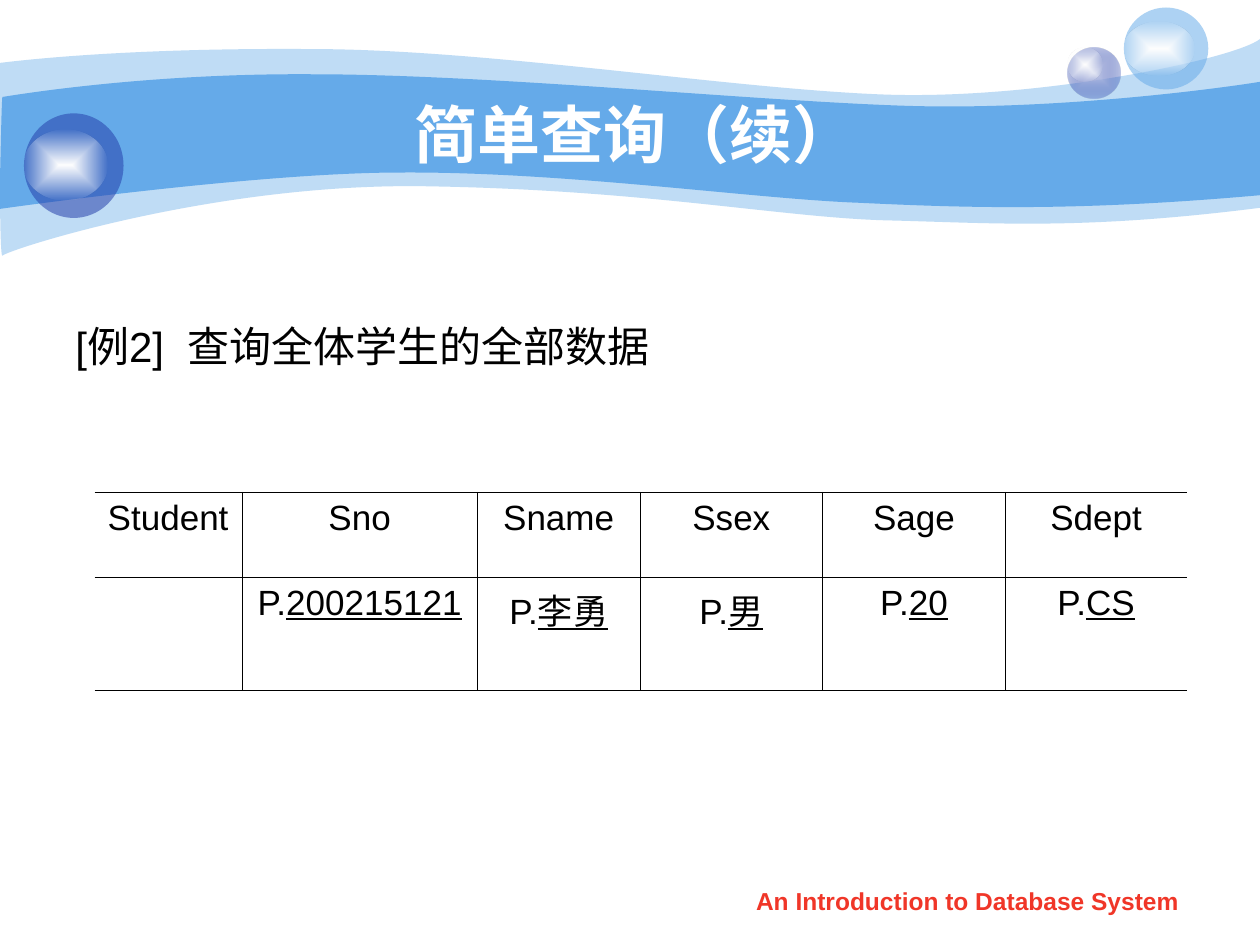
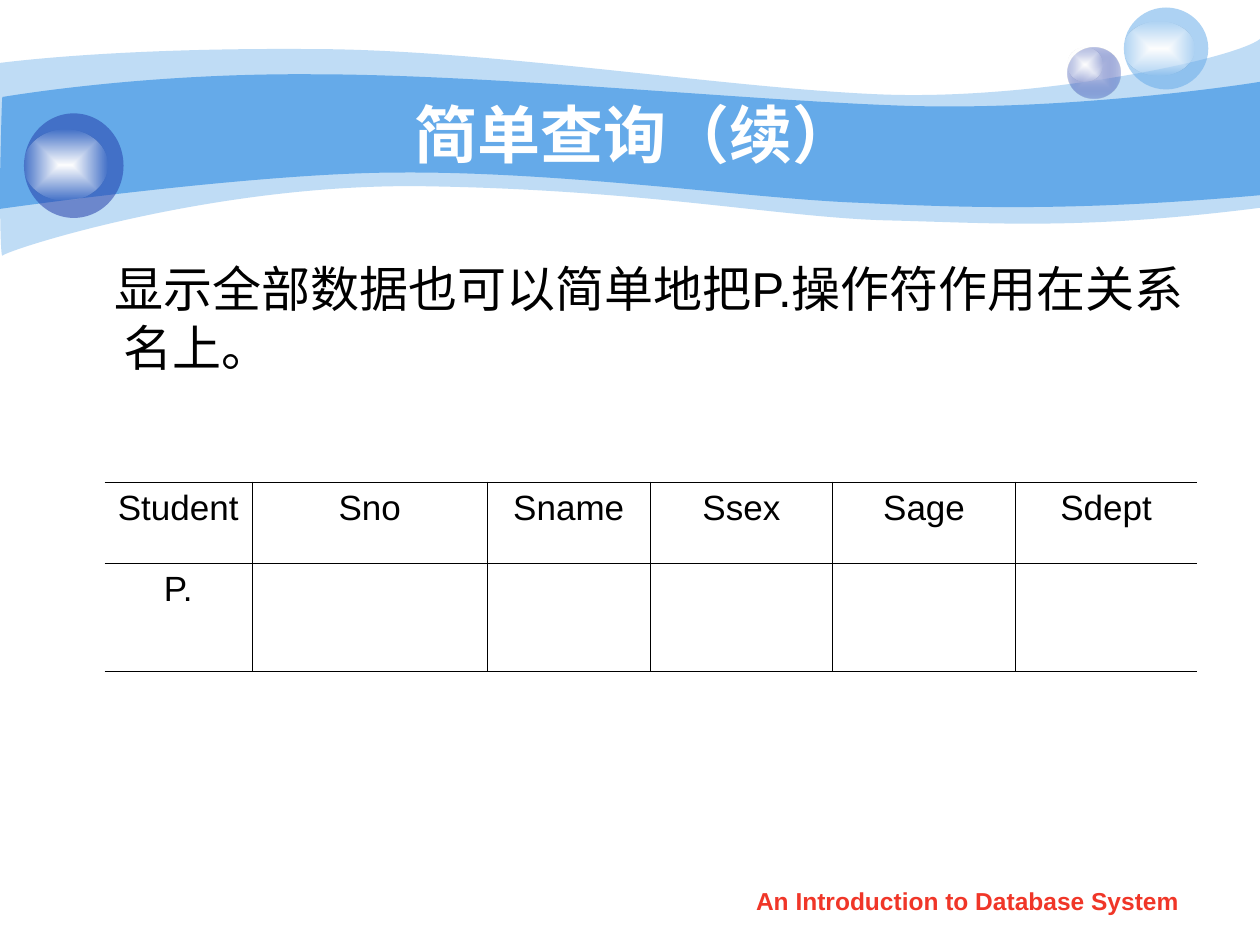
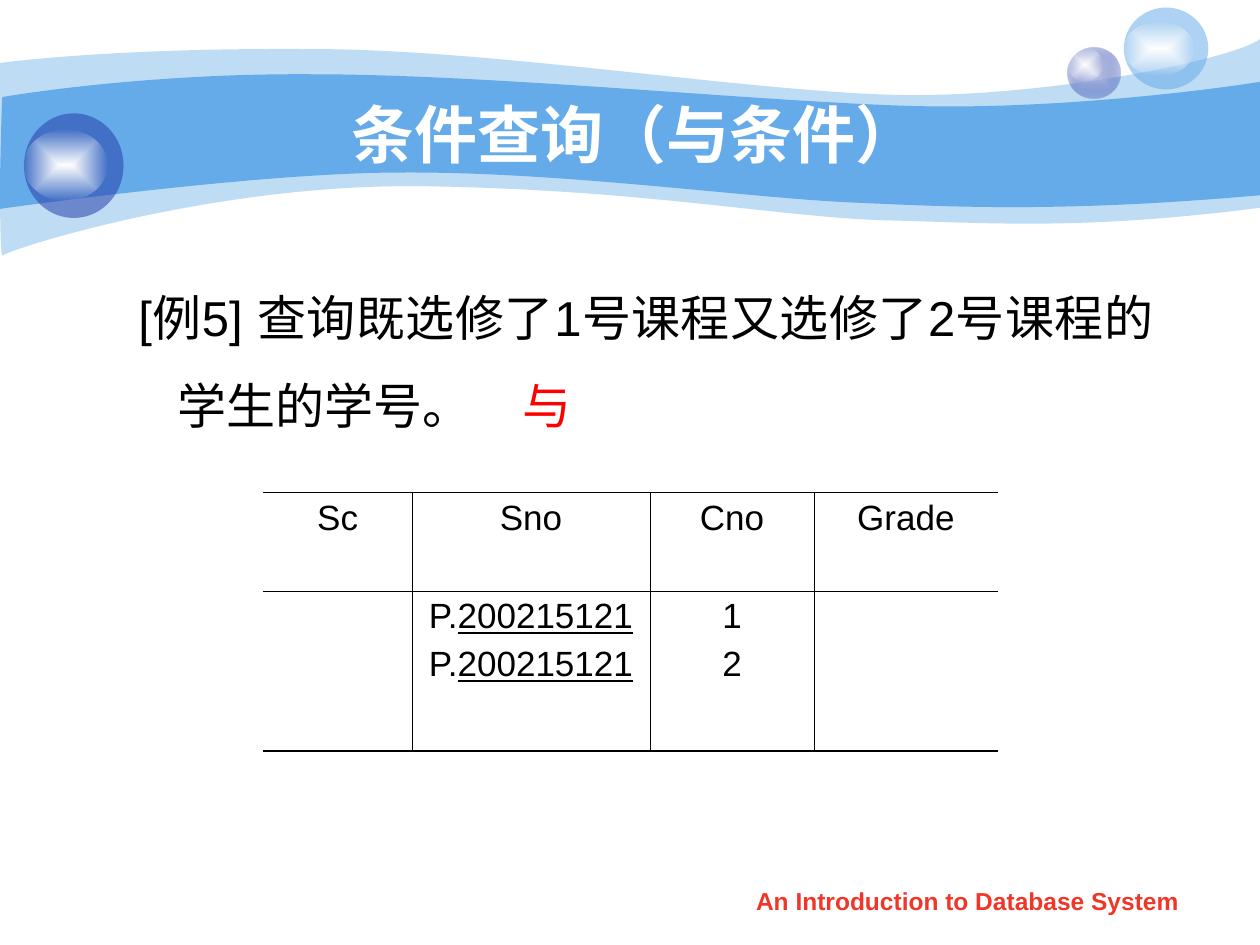
from lxml.etree import SubElement
from pptx import Presentation
from pptx.dml.color import RGBColor
from pptx.enum.shapes import MSO_SHAPE
from pptx.enum.text import MSO_ANCHOR as ANCHOR, PP_ALIGN as ALIGN
from pptx.oxml import parse_xml
from pptx.oxml.ns import nsdecls, qn
from pptx.util import Inches, Pt

BLACK = RGBColor(0x00, 0x00, 0x00)
WHITE = RGBColor(0xFF, 0xFF, 0xFF)
RED = RGBColor(0xFF, 0x00, 0x00)
FOOTER_RED = RGBColor(0xF0, 0x36, 0x28)
SKY = RGBColor(0x65, 0xAA, 0xE9)
NAVY = RGBColor(0x23, 0x3D, 0xA9)
LILAC = RGBColor(0xC7, 0xCE, 0xE9)

FONT = "Arial"
THIN, THICK = Pt(0.45), Pt(1.08)

# Each wave is a start point, then curves (six numbers) and lines (two numbers).
PALE_WAVE = [
    (0, 0.5), (0.24, 0.47, 1.08, 0.38, 2.47, 0.39),
    (3.86, 0.39, 5.75, 0.7, 6.99, 0.75), (8.22, 0.8, 9.8, 0.47, 10, 0.31),
    (10, 1.65), (8.58, 1.83, 7.88, 1.77, 7.05, 1.75),
    (6.22, 1.73, 5.15, 1.51, 3.43, 1.48), (1.72, 1.44, 0.04, 1.99, 0.02, 2.03),
    (-0.01, 2.08, 0, 0.75, 0, 0.5),
]
DEEP_WAVE = [
    (0.02, 0.77), (0.03, 0.77, 1.1, 0.58, 2.48, 0.59),
    (3.87, 0.59, 5.96, 0.8, 7.18, 0.84), (8.41, 0.88, 9.76, 0.69, 10, 0.65),
    (10, 1.55), (8.53, 1.68, 7.66, 1.65, 6.82, 1.61),
    (5.99, 1.58, 4.47, 1.36, 3.17, 1.37), (2.03, 1.37, -0.02, 1.66, -0.01, 1.66),
    (0, 1.66, 0.01, 0.77, 0.02, 0.77),
]


class Deck:
    """Holds the shared style and the slide being drawn."""

    def __init__(self):
        self.prs = Presentation()
        self.prs.slide_width, self.prs.slide_height = Inches(10), Inches(7.5)
        self.slide = None

    def new_slide(self, title):
        self.slide = self.prs.slides.add_slide(self.prs.slide_layouts[6])
        self.wave(PALE_WAVE, 41)
        self.wave(DEEP_WAVE)
        self.bubble((8.47, 0.38, 0.42, 0.4), (8.47, 0.38, 0.28, 0.27), LILAC, NAVY, 31)
        self.bubble((8.92, 0.06, 0.67, 0.65), (8.92, 0.17, 0.56, 0.43), SKY, alpha=53)
        self.bubble((0.19, 0.9, 0.79, 0.83), (0.19, 1.03, 0.66, 0.56), NAVY, alpha=53)
        self.text((5.71, 6.98, 3.94, 0.35), [("An Introduction to Database System", {})],
                  {"size": Pt(14), "bold": True}, FOOTER_RED, alignment=ALIGN.CENTER)
        tf = self.text((1, 0.75, 8.08, 0.62), [(title, {})],
                       {"size": Pt(36), "bold": True}, WHITE, alignment=ALIGN.CENTER)
        tf.vertical_anchor = ANCHOR.MIDDLE

    def solid(self, sp, color, alpha=100):
        sp.shadow.inherit = False
        sp.line.fill.background()
        sp.fill.solid()
        sp.fill.fore_color.rgb = color
        if alpha < 100:
            clr = sp.fill._xPr.find(qn("a:solidFill"))[0]
            SubElement(clr, qn("a:alpha"), val=str(alpha * 1000))

    def glow(self, sp, inner, outer, alpha):
        """Fill from the inner colour at the centre to a translucent outer one."""
        self.solid(sp, inner)
        spPr = sp.fill._xPr
        spPr.replace(spPr.find(qn("a:solidFill")), parse_xml(
            f'<a:gradFill {nsdecls("a")} rotWithShape="1"><a:gsLst>'
            f'<a:gs pos="0"><a:srgbClr val="{inner}"/></a:gs>'
            f'<a:gs pos="100000"><a:srgbClr val="{outer}">'
            f'<a:alpha val="{alpha * 1000}"/></a:srgbClr></a:gs></a:gsLst>'
            '<a:path path="rect"><a:fillToRect l="50000" t="50000" r="50000" b="50000"/>'
            '</a:path></a:gradFill>'))

    def wave(self, wave, alpha=100):
        """Lay out all points as lines, then join each curve's three into a Bezier."""
        start, *segs = wave
        points = [(Inches(x), Inches(y)) for seg in segs
                  for x, y in zip(seg[::2], seg[1::2])]
        builder = self.slide.shapes.build_freeform(*map(Inches, start))
        builder.add_line_segments(points, close=True)
        sp = builder.convert_to_shape()
        lines = iter(list(sp._element.iter(qn("a:lnTo"))))
        for seg in segs:
            first, *others = [next(lines) for _ in seg[::2]]
            if others:
                curve = SubElement(first.getparent(), qn("a:cubicBezTo"))
                first.addprevious(curve)
                for line in (first, *others):
                    curve.append(line[0])
                    line.getparent().remove(line)
        self.solid(sp, SKY, alpha)

    def bubble(self, ball, glare, color, rim=None, alpha=100):
        shapes = self.slide.shapes.add_group_shape().shapes
        sp, shine = (shapes.add_shape(MSO_SHAPE.OVAL, *map(Inches, box))
                     for box in (ball, glare))
        if rim is None:
            self.solid(sp, color, alpha)
        else:
            self.glow(sp, color, rim, alpha)
        self.glow(shine, WHITE, WHITE, 0)

    def runs(self, p, runs, font, color):
        for text, extra in runs:
            r = p.add_run()
            r.text = text
            r.font.color.rgb = color
            for name, value in {"name": FONT, **font, **extra}.items():
                if name == "color":
                    r.font.color.rgb = value
                elif name == "spacing":
                    r._r.get_or_add_rPr().set("spc", str(value))
                else:
                    setattr(r.font, name, value)

    def text(self, box, runs, font, color=BLACK, margin=0, indent=0, **fmt):
        tf = self.slide.shapes.add_textbox(*map(Inches, box)).text_frame
        tf.word_wrap = True
        p = tf.paragraphs[0]
        if margin:
            pPr = p._p.get_or_add_pPr()
            pPr.set("marL", str(Inches(margin)))
            pPr.set("indent", str(Inches(indent)))
        for name, value in fmt.items():
            setattr(p, name, value)
        self.runs(p, runs, font, color)
        return tf

    def border(self, cell, **widths):
        """Draw the four sides in black; a width of 0 leaves the side open."""
        tcPr = cell._tc.get_or_add_tcPr()
        for side in "LRTB":
            width = widths[side]
            ln = SubElement(tcPr, qn(f"a:ln{side}"), w=str(int(width)))
            if width:
                SubElement(SubElement(ln, qn("a:solidFill")), qn("a:srgbClr"), val=str(BLACK))
            else:
                SubElement(ln, qn("a:noFill"))

    def table(self, left, top, widths, heights, rows):
        """Cells hold lines; in "P.x" the example value x is underlined."""
        box = (left, top, sum(widths), sum(heights))
        table = self.slide.shapes.add_table(len(rows), len(widths), *map(Inches, box)).table
        table.first_row = table.horz_banding = False
        for col, width in zip(table.columns, widths):
            col.width = Inches(width)
        last_row, last_col = len(rows) - 1, len(widths) - 1
        for i, (height, row) in enumerate(zip(heights, rows)):
            table.rows[i].height = Inches(height)
            for j, content in enumerate(row):
                cell = table.cell(i, j)
                self.border(cell, L=THIN if j else 0, R=THIN if j < last_col else 0,
                            T=THIN if i else THICK, B=THIN if i < last_row else THICK)
                cell.fill.background()
                if content:
                    self.cell_text(cell.text_frame, content.split("\n"))

    def cell_text(self, tf, lines):
        for n, line in enumerate(lines):
            p = tf.add_paragraph() if n else tf.paragraphs[0]
            p.alignment = ALIGN.CENTER
            if n:
                p.space_before = Pt(5)
            head, dot, value = line.partition(".")
            runs = [(head + dot, {})]
            if value:
                runs.append((value, {"underline": True}))
            self.runs(p, runs, {"size": Pt(20)}, BLACK)


def main():
    deck = Deck()
    student = ["Student", "Sno", "Sname", "Ssex", "Sage", "Sdept"]
    student_widths = [1.17, 1.87, 1.29, 1.45, 1.45, 1.44]

    deck.new_slide("简单查询（续）")
    tf = deck.text((0.5, 2, 8.04, 1.59), [("[例2]  查询全体学生的全部数据", {})],
                   {"size": Pt(24)}, margin=0.38, indent=-0.38, alignment=ALIGN.JUSTIFY)
    tf.margin_top = Inches(0.54)
    deck.table(0.75, 3.91, student_widths, [0.67, 0.9],
               [student, ["", "P.200215121", "P.李勇", "P.男", "P.20", "P.CS"]])

    deck.new_slide("简单查询（续）")
    deck.text((0.5, 2, 8.99, 1.59),
              [("显示全部数据也可以简单地把P.操作符作用在关系名上。", {})],
              {"size": Pt(28)}, margin=0.38, indent=-0.07, alignment=ALIGN.JUSTIFY)
    deck.table(0.83, 3.83, student_widths, [0.64, 0.86],
               [student, ["P.", "", "", "", "", ""]])

    deck.new_slide("条件查询（与条件）")
    deck.text((0.5, 2, 8.75, 1.83),
              [("[例5] 查询既选修了1号课程又选修了2号课程的学生的学号。", {}),
               (" ", {"spacing": 2330}), ("与", {"color": RED})],
              {"size": Pt(28)}, margin=0.81, indent=-0.31,
              alignment=ALIGN.JUSTIFY, line_spacing=1.5)
    deck.table(2.09, 3.91, [1.18, 1.89, 1.3, 1.46], [0.78, 1.27],
               [["Sc", "Sno", "Cno", "Grade"],
                ["", "P.200215121\nP.200215121", "1\n2", ""]])

    deck.prs.save("out.pptx")


if __name__ == "__main__":
    main()
